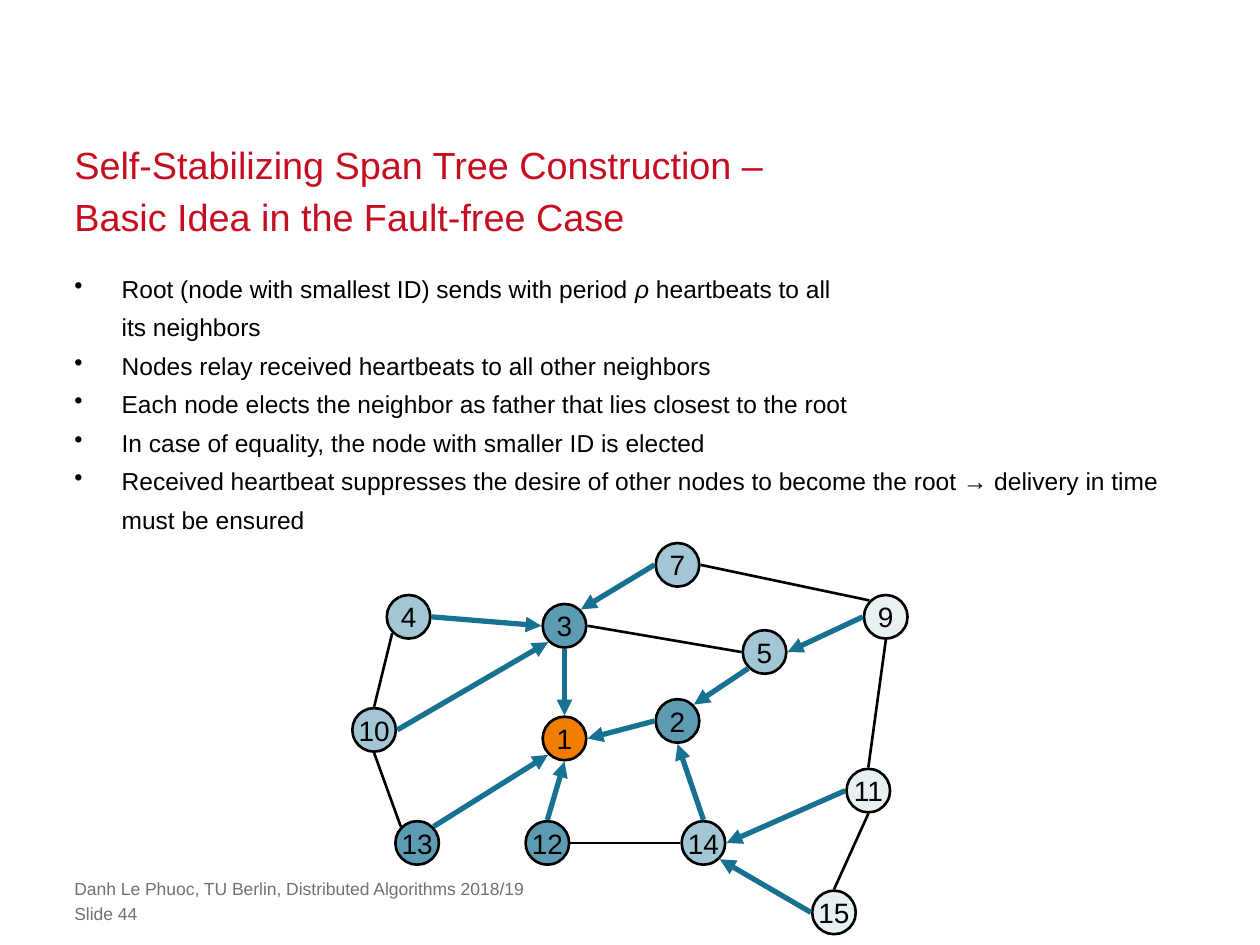
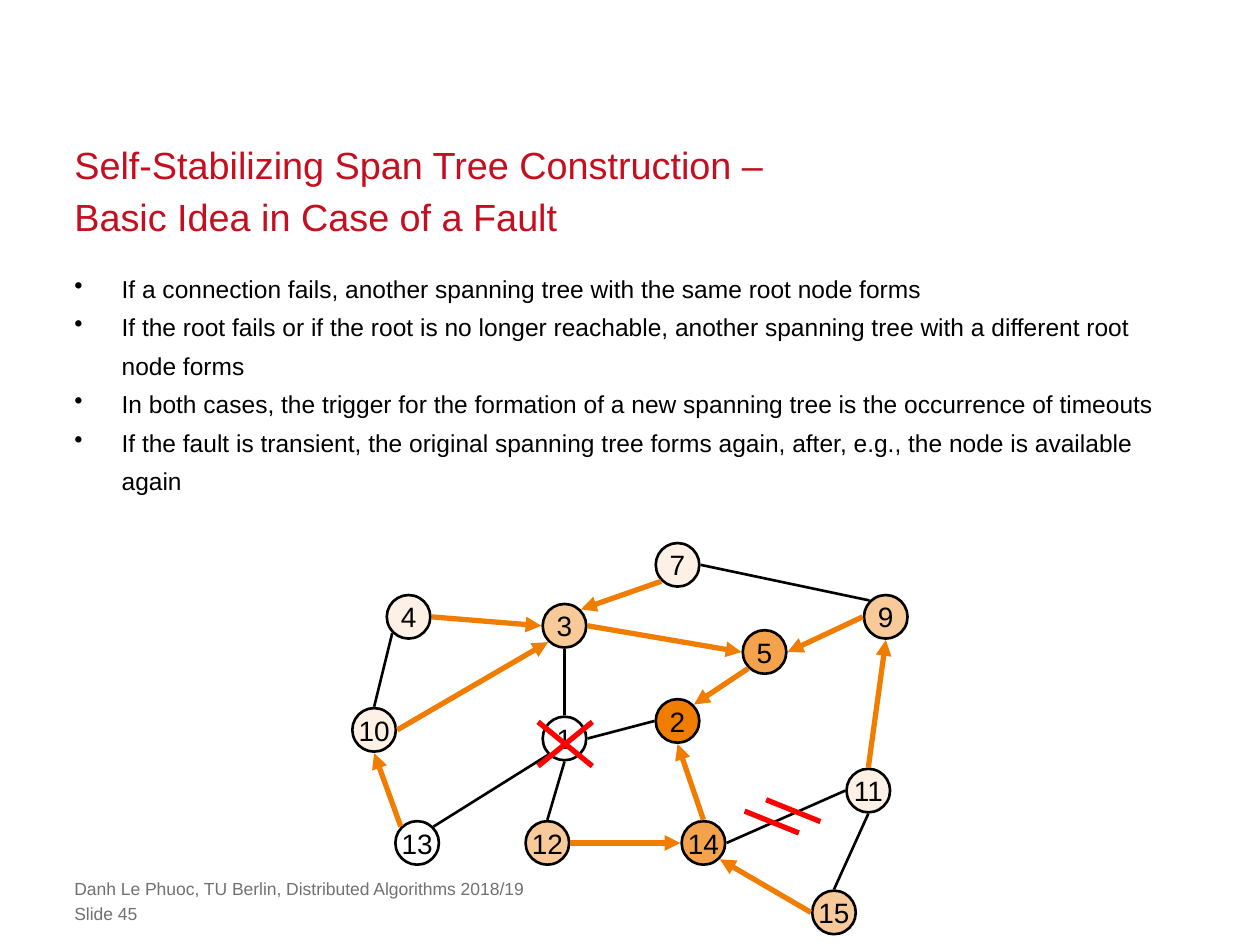
"""Build two slides on self-stabilizing spanning trees, without and with a fault."""
from dataclasses import dataclass
from typing import Any, NamedTuple, Optional

import pptx
import pptx.dml.color
import pptx.enum.shapes
import pptx.enum.text
import pptx.oxml
import pptx.oxml.ns
import pptx.util
from lxml import etree

Pt = pptx.util.Pt
qn = pptx.oxml.ns.qn
ANCHOR = pptx.enum.text.MSO_ANCHOR
ALIGN = pptx.enum.text.PP_ALIGN

COLORS = {
    "title": "C50E1F",
    "body": "000000",
    "footer": "717171",
    "link": "000000",
    "teal": "177191",
    "orange": "F07C00",
    "failed": "FFFFFF",
    "fault": "FF0000",
}
NO_MARGINS = {"margin_left": 0, "margin_top": 0, "margin_right": 0, "margin_bottom": 0}
FONTS = {
    "title": {"name": "Arial", "size": Pt(21.6)},
    "body": {"name": "Arial", "size": Pt(14)},
    "footer": {"name": "Arial", "size": Pt(10)},
    "node": {"name": "Arial", "size": Pt(16)},
}
TITLE_PARAGRAPH = {"line_spacing": Pt(30)}
BULLET_PARAGRAPH = {"line_spacing": Pt(22)}
BULLET_INDENT = Pt(27)
PAGE_LEFT = 42.5
TEXT_WIDTH = 635

NODE_RADIUS = 12.45
LINK_RADIUS = 13.2
DIAGONAL = 0.71
OPACITY_BY_DEPTH = {1: 70, 2: 40, 3: 10}


class Point(NamedTuple):
    x: float
    y: float


class Link(NamedTuple):
    child: int
    child_side: str
    father: int
    father_side: str


class Mark(NamedTuple):
    start: Point
    end: Point


class Box(NamedTuple):
    top: float
    width: float
    height: float


TITLE_BOX = Box(106.5, TEXT_WIDTH, 30.3)
BULLETS_BOX = Box(151.2, TEXT_WIDTH, 320.4)
AUTHOR_BOX = Box(501.8, 521.3, 12.2)
NUMBER_BOX = Box(516.2, 521.3, 12.2)

SIDES = {
    "n": Point(0, -1),
    "ne": Point(DIAGONAL, -DIAGONAL),
    "e": Point(1, 0),
    "se": Point(DIAGONAL, DIAGONAL),
    "s": Point(0, 1),
    "sw": Point(-DIAGONAL, DIAGONAL),
    "w": Point(-1, 0),
    "nw": Point(-DIAGONAL, -DIAGONAL),
}
NODE_CENTERS = {
    14: Point(402, 481.7),
    3: Point(322.6, 357.6),
    5: Point(436.9, 372.6),
    1: Point(322.6, 422),
    11: Point(496.2, 451.8),
    2: Point(387.2, 412),
    7: Point(387.2, 322.8),
    9: Point(506.2, 352.5),
    12: Point(312.8, 481.7),
    10: Point(213.8, 417.1),
    4: Point(233.5, 352.5),
    13: Point(238.4, 481.7),
    15: Point(476.6, 521.4),
}
LINKS = [
    Link(4, "e", 3, "w"),
    Link(4, "sw", 10, "n"),
    Link(10, "e", 3, "sw"),
    Link(3, "e", 5, "w"),
    Link(9, "w", 5, "e"),
    Link(7, "e", 9, "nw"),
    Link(11, "n", 9, "s"),
    Link(5, "sw", 2, "ne"),
    Link(3, "s", 1, "n"),
    Link(2, "w", 1, "e"),
    Link(12, "n", 1, "s"),
    Link(13, "ne", 1, "sw"),
    Link(13, "nw", 10, "s"),
    Link(14, "n", 2, "s"),
    Link(11, "w", 14, "e"),
    Link(11, "s", 15, "n"),
    Link(15, "w", 14, "se"),
    Link(12, "e", 14, "w"),
]


@dataclass(frozen=True)
class TreeSlide:
    number: int
    title: str
    bullets: list[tuple[str, ...]]
    root: int
    fathers: dict[int, int]
    tree_color: str
    side_of_seven: str
    fault_marks: tuple[Mark, ...] = ()

    def depth(self, node: int) -> Optional[int]:
        if node == self.root:
            return 0
        if node not in self.fathers:
            return None
        return self.depth(self.fathers[node]) + 1


TREE_SLIDES = [
    TreeSlide(
        number=44,
        title="Self-Stabilizing Span Tree Construction – \vBasic Idea in the Fault-free Case",
        bullets=[
            ("Root (node with smallest ID) sends with period ", "ρ",
             " heartbeats to all \vits neighbors"),
            ("Nodes relay received heartbeats to all other neighbors",),
            ("Each node elects the neighbor as father that lies closest to the root",),
            ("In case of equality, the node with smaller ID is elected",),
            ("Received heartbeat suppresses the desire of other nodes to become the root "
             "→ delivery in time must be ensured",),
        ],
        root=1,
        fathers={2: 1, 3: 1, 12: 1, 13: 1, 4: 3, 7: 3, 10: 3, 5: 2, 14: 2, 9: 5, 11: 14, 15: 14},
        tree_color="teal",
        side_of_seven="w",
    ),
    TreeSlide(
        number=45,
        title="Self-Stabilizing Span Tree Construction – \vBasic Idea in Case of a Fault",
        bullets=[
            ("If a connection fails, another spanning tree with the same root node forms",),
            ("If the root fails or if the root is no longer reachable, another spanning tree "
             "with a different root node forms",),
            ("In both cases, the trigger for the formation of a new spanning tree is the "
             "occurrence of timeouts",),
            ("If the fault is transient, the original spanning tree forms again, after, e.g., "
             "the node is available again",),
        ],
        root=2,
        fathers={5: 2, 14: 2, 3: 5, 9: 5, 12: 14, 15: 14, 4: 3, 7: 3, 10: 3, 11: 9, 13: 10},
        tree_color="orange",
        side_of_seven="sw",
        fault_marks=(
            Mark(Point(425.5, 463.5), Point(456.5, 476)),
            Mark(Point(437.8, 457), Point(468.8, 469.5)),
            Mark(Point(307.5, 412.5), Point(338.5, 437.8)),
            Mark(Point(338.5, 412.5), Point(307.5, 437.8)),
        ),
    ),
]


def rgb(color: str) -> pptx.dml.color.RGBColor:
    return pptx.dml.color.RGBColor.from_string(COLORS[color])


def apply_format(target: Any, values: dict[str, Any]) -> None:
    for attribute, value in values.items():
        setattr(target, attribute, value)


def style_font(font: Any, style: str, color: str) -> None:
    apply_format(font, FONTS[style])
    font.color.rgb = rgb(color)


def add_text(slide: Any, box: Box, style: str, paragraphs: list[tuple[str, ...]],
             anchor: Any = ANCHOR.TOP, paragraph_format: Optional[dict[str, Any]] = None) -> Any:
    frame = slide.shapes.add_textbox(
        Pt(PAGE_LEFT), Pt(box.top), Pt(box.width), Pt(box.height)).text_frame
    apply_format(frame, {**NO_MARGINS, "word_wrap": True, "vertical_anchor": anchor})
    for index, pieces in enumerate(paragraphs):
        paragraph = frame.add_paragraph() if index else frame.paragraphs[0]
        apply_format(paragraph, paragraph_format or {})
        for piece in pieces:
            for position, line in enumerate(piece.split("\v")):
                if position:
                    paragraph.add_line_break()
                run = paragraph.add_run()
                run.text = line
                style_font(run.font, style, style)
                if piece == "ρ":
                    run.font.italic = True
    return frame


def add_bullets(slide: Any, bullets: list[tuple[str, ...]]) -> None:
    frame = add_text(slide, BULLETS_BOX, "body", bullets, paragraph_format=BULLET_PARAGRAPH)
    for paragraph in frame.paragraphs:
        properties = paragraph._p.get_or_add_pPr()
        properties.set("marL", str(BULLET_INDENT))
        properties.set("indent", str(-BULLET_INDENT))
        etree.SubElement(properties, qn("a:buChar")).set("char", "•")


def add_node(slide: Any, node: int, tree: TreeSlide) -> None:
    center = NODE_CENTERS[node]
    circle = slide.shapes.add_shape(
        pptx.enum.shapes.MSO_SHAPE.OVAL, Pt(center.x - NODE_RADIUS), Pt(center.y - NODE_RADIUS),
        Pt(2 * NODE_RADIUS), Pt(2 * NODE_RADIUS))
    circle.shadow.inherit = False
    depth = tree.depth(node)
    if depth is None or depth == 0:
        circle.fill.solid()
        circle.fill.fore_color.rgb = rgb("failed" if depth is None else "orange")
    elif depth in OPACITY_BY_DEPTH:
        circle.fill.solid()
        circle.fill.fore_color.rgb = rgb(tree.tree_color)
        tint = circle._element.spPr.find(f"{qn('a:solidFill')}/{qn('a:srgbClr')}")
        etree.SubElement(tint, qn("a:alpha")).set("val", str(OPACITY_BY_DEPTH[depth] * 1000))
    else:
        circle.fill.background()
    circle.line.color.rgb = rgb("link")
    circle.line.width = Pt(1.5)
    frame = circle.text_frame
    apply_format(frame, {**NO_MARGINS, "word_wrap": False, "vertical_anchor": ANCHOR.MIDDLE})
    label = frame.paragraphs[0]
    label.alignment = ALIGN.CENTER
    run = label.add_run()
    run.text = str(node)
    style_font(run.font, "node", "body")


def add_line(slide: Any, start: Point, end: Point, color: str, width: float,
             arrow: bool = False) -> None:
    line = slide.shapes.add_connector(
        pptx.enum.shapes.MSO_CONNECTOR.STRAIGHT, Pt(start.x), Pt(start.y), Pt(end.x), Pt(end.y))
    line.line.color.rgb = rgb(color)
    line.line.width = Pt(width)
    properties = line._element.spPr
    if arrow:
        etree.SubElement(properties.find(qn("a:ln")), qn("a:tailEnd")).set("type", "triangle")
    etree.SubElement(properties, qn("a:effectLst"))


def link_end(node: int, side: str) -> Point:
    center, direction = NODE_CENTERS[node], SIDES[side]
    return Point(center.x + LINK_RADIUS * direction.x, center.y + LINK_RADIUS * direction.y)


def add_link(slide: Any, link: Link, tree: TreeSlide) -> None:
    in_tree = tree.fathers.get(link.child) == link.father
    add_line(slide, link_end(link.child, link.child_side), link_end(link.father, link.father_side),
             tree.tree_color if in_tree else "link", 3 if in_tree else 1.5, in_tree)


def add_tree_slide(deck: Any, tree: TreeSlide) -> None:
    slide = deck.slides.add_slide(deck.slide_layouts[6])
    add_text(slide, TITLE_BOX, "title", [(tree.title,)], ANCHOR.BOTTOM, TITLE_PARAGRAPH)
    add_bullets(slide, tree.bullets)
    add_text(slide, AUTHOR_BOX, "footer",
             [("Danh Le Phuoc, TU Berlin, Distributed Algorithms 2018/19",)])
    add_text(slide, NUMBER_BOX, "footer", [(f"Slide {tree.number}",)])
    for node in NODE_CENTERS:
        add_node(slide, node, tree)
    for link in [*LINKS, Link(7, tree.side_of_seven, 3, "ne")]:
        add_link(slide, link, tree)
    for mark in tree.fault_marks:
        add_line(slide, mark.start, mark.end, "fault", 3)


def main() -> None:
    deck = pptx.Presentation()
    deck.slide_width, deck.slide_height = Pt(720), Pt(540)
    for tree in TREE_SLIDES:
        add_tree_slide(deck, tree)
    deck.save("out.pptx")


if __name__ == "__main__":
    main()
